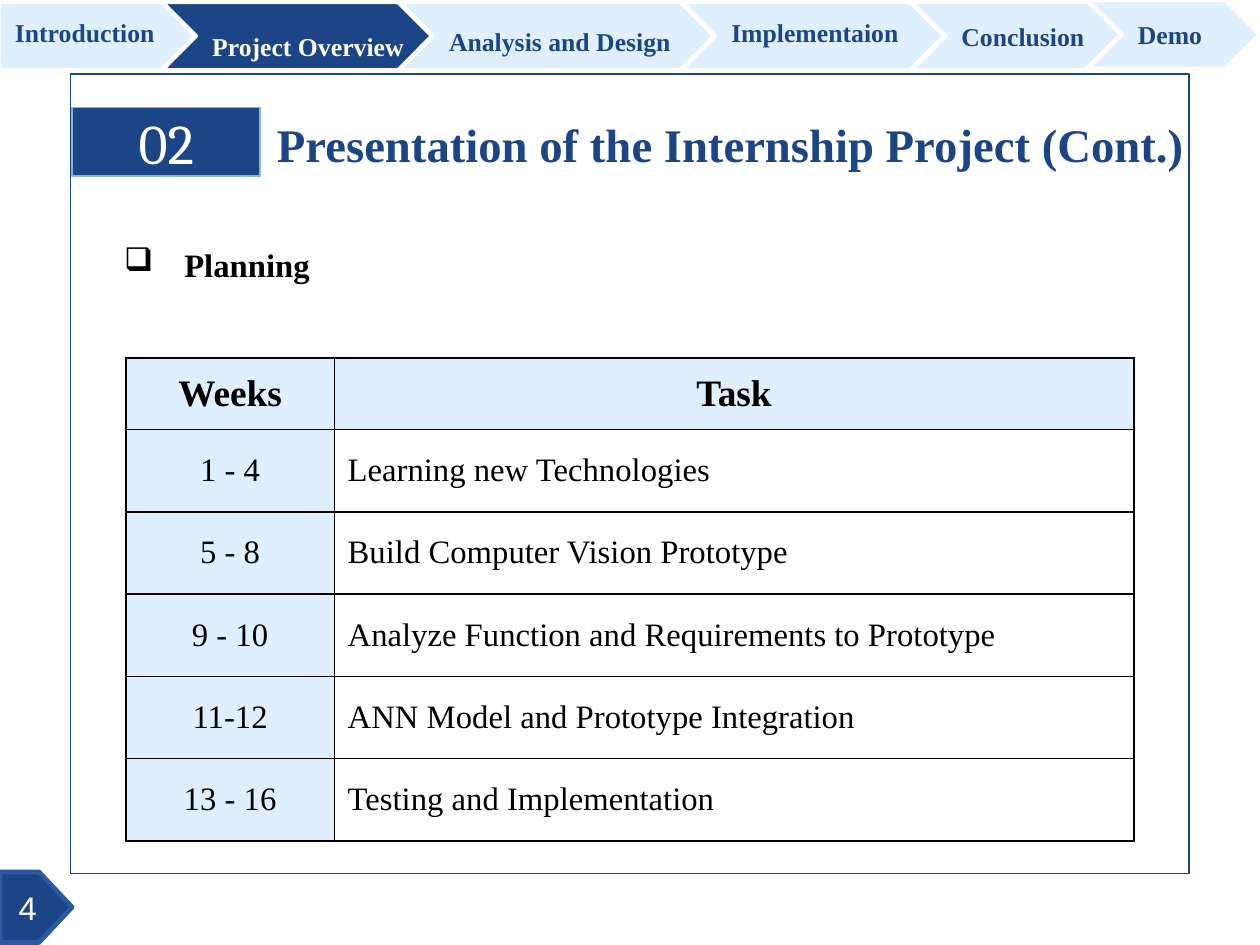
from lxml import etree
from pptx import Presentation
from pptx.dml.color import RGBColor
from pptx.enum.shapes import MSO_SHAPE
from pptx.enum.text import MSO_ANCHOR, PP_ALIGN
from pptx.oxml.ns import qn
from pptx.util import Inches, Pt

RECT, PENTAGON, CHEVRON = MSO_SHAPE.RECTANGLE, MSO_SHAPE.PENTAGON, MSO_SHAPE.CHEVRON
LEFT, CENTER = PP_ALIGN.LEFT, PP_ALIGN.CENTER
TOP, MIDDLE = MSO_ANCHOR.TOP, MSO_ANCHOR.MIDDLE

NAVY = RGBColor(0x1C, 0x45, 0x87)
BLUE = RGBColor(0x2C, 0x59, 0xA0)
SKY = RGBColor(0x8C, 0xAF, 0xE7)
PALE = RGBColor(0xDF, 0xEF, 0xFD)
WHITE = RGBColor(0xFF, 0xFF, 0xFF)
BLACK = RGBColor(0, 0, 0)
SERIF = "Times New Roman"

# Label, left, top, width, downward shift of the label
TABS = [
    ("Introduction", -0.01, 0.01, 1.25, -0.02),
    ("Project Overview", 0.96, 0.01, 1.86, 0.06),
    ("Analysis and Design", 2.37, 0.01, 1.94, 0.03),
    ("Implementaion", 4.05, 0.01, 1.7, -0.02),
    ("Conclusion", 5.42, 0.01, 1.36, 0),
    ("Demo", 6.47, 0, 1.03, 0),
]
CURRENT_TAB = "Project Overview"

PLAN = [
    ("Weeks", "Task"),
    ("1 - 4", "Learning new Technologies"),
    ("5 - 8", "Build Computer Vision Prototype"),
    ("9 - 10", "Analyze Function and Requirements to Prototype"),
    ("11-12", "ANN Model and Prototype Integration"),
    ("13 - 16", "Testing and Implementation"),
]


def add_run(p, text, size=14, color=BLACK, font=SERIF, bold=False):
    r = p.add_run()
    r.text = text
    r.font.size, r.font.name, r.font.bold = Pt(size), font, bold
    r.font.color.rgb = color


def put_text(tf, text, align=LEFT, anchor=MIDDLE,
             insets=(0.1, 0.05, 0.1, 0.05), **run_format):
    tf.word_wrap = True
    tf.vertical_anchor = anchor
    (tf.margin_left, tf.margin_top,
     tf.margin_right, tf.margin_bottom) = map(Inches, insets)
    p = tf.paragraphs[0]
    p.alignment = align
    add_run(p, text, **run_format)
    return p


def add_block(s, kind, box, fill=None, line=NAVY, weight=0.75):
    sp = s.shapes.add_shape(kind, *map(Inches, box))
    sp.shadow.inherit = False
    if fill is None:
        sp.fill.background()
    else:
        sp.fill.solid()
        sp.fill.fore_color.rgb = fill
    sp.line.color.rgb = line
    sp.line.width = Pt(weight)
    return sp


def add_tabs(s, height):
    for i, (label, left, top, width, shift) in enumerate(TABS):
        current = label == CURRENT_TAB
        sp = add_block(s, CHEVRON if i else PENTAGON, (left, top, width, height),
                       NAVY if current else PALE, WHITE, 2)
        put_text(sp.text_frame, label, size=11, color=WHITE if current else NAVY,
                 bold=True, insets=(0.1, 0.1 + shift, 0.05, 0.1 - shift))


def add_heading(s, left, top, width, number, title):
    badge_width = 1.12
    badge = add_block(s, RECT, (left, top, badge_width, 0.41), NAVY, SKY)
    put_text(badge.text_frame, number, size=24, color=WHITE, font="Cambria",
             align=CENTER, insets=(0.07,) * 4)
    box = s.shapes.add_textbox(Inches(left + badge_width), Inches(top),
                               Inches(width - badge_width), Inches(0.67))
    put_text(box.text_frame, title, size=20, color=NAVY, bold=True, anchor=TOP)


def add_bullet_line(s, left, top, width, height, text):
    box = s.shapes.add_textbox(*map(Inches, (left, top, width, height)))
    # A regular no-break space keeps the bullet from turning bold
    p = put_text(box.text_frame, " ", anchor=TOP)
    add_run(p, text, bold=True)
    p.line_spacing = 1.5
    pPr = p._p.get_or_add_pPr()
    pPr.set("marL", str(Inches(0.33)))
    pPr.set("indent", str(Inches(-0.31)))
    etree.SubElement(pPr, qn("a:buChar")).set("char", "❑")


def set_borders(cell):
    tcPr = cell._tc.get_or_add_tcPr()
    for i, side in enumerate(("lnL", "lnR", "lnT", "lnB")):
        ln = etree.Element(qn("a:" + side), w=str(Pt(0.75)))
        fill = etree.SubElement(ln, qn("a:solidFill"))
        etree.SubElement(fill, qn("a:srgbClr"), val=str(BLACK))
        tcPr.insert(i, ln)


def add_plan_table(s, left, top, col_widths, header_height, row_height):
    heights = [header_height] + [row_height] * (len(PLAN) - 1)
    table = s.shapes.add_table(
        len(PLAN), len(col_widths), Inches(left), Inches(top),
        Inches(sum(col_widths)), Inches(sum(heights))).table
    table.horz_banding = False
    for col, width in zip(table.columns, col_widths):
        col.width = Inches(width)
    for i, (values, height) in enumerate(zip(PLAN, heights)):
        table.rows[i].height = Inches(height)
        for j, value in enumerate(values):
            cell = table.cell(i, j)
            header, shaded = i == 0, i == 0 or j == 0
            cell.fill.solid()
            cell.fill.fore_color.rgb = PALE if shaded else WHITE
            put_text(cell.text_frame, value, size=16 if header else 14,
                     bold=header, align=CENTER if shaded else LEFT)
            # Cells keep their own anchor and margins
            cell.vertical_anchor = MIDDLE
            cell.margin_left = cell.margin_right = Inches(0.08)
            cell.margin_top = cell.margin_bottom = Inches(0.08)
            set_borders(cell)


def add_page_number(s, left, top, width, height, number):
    sp = add_block(s, PENTAGON, (left, top, width, height), NAVY, BLUE, 2)
    sp.adjustments[0] = 0.47
    put_text(sp.text_frame, number, color=WHITE, font="Arial",
             align=CENTER, insets=(0,) * 4)


def main():
    prs = Presentation()
    # 4:3 page
    prs.slide_width = Inches(7.5)
    prs.slide_height = prs.slide_width * 3 // 4
    s = prs.slides.add_slide(prs.slide_layouts[6])

    # Frame and navigation
    add_block(s, RECT, (0.42, 0.44, 6.66, 4.76))
    add_tabs(s, 0.41)

    # Content
    add_heading(s, 0.43, 0.64, 6.94, "02",
                "Presentation of the Internship Project (Cont.)")
    add_bullet_line(s, 0.62, 1.29, 4.14, 0.41, "Planning")
    add_plan_table(s, 0.75, 2.13, (1.24, 4.76), 0.42, 0.49)

    # Footer
    add_page_number(s, 0, 5.19, 0.43, 0.42, "4")
    prs.save("out.pptx")


if __name__ == "__main__":
    main()
